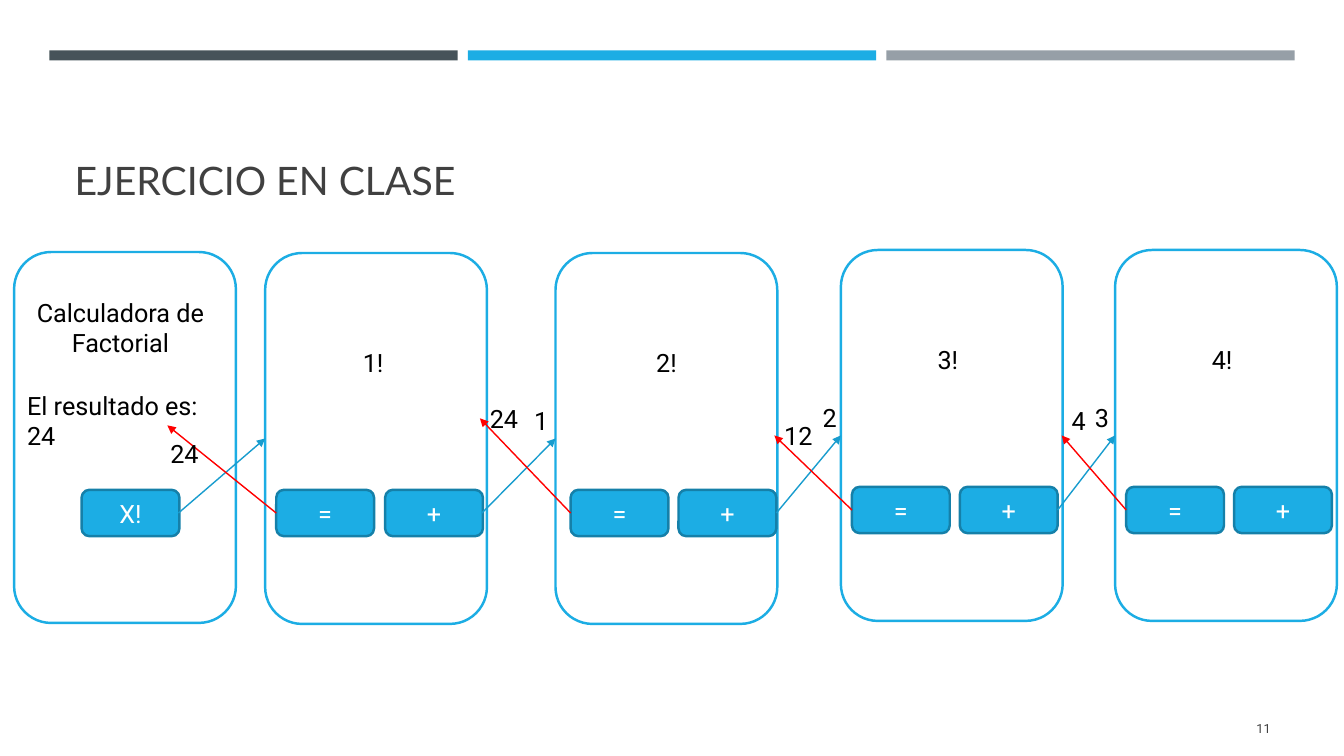
from pptx import Presentation
from pptx import util as u
from pptx.dml.color import RGBColor
from pptx.enum import shapes, text
from pptx.oxml.ns import qn
from lxml import etree

PX = 9144
COLORS = {
    "slate": "465359", "blue": "1CADE4", "gray": "969FA7", "border": "1580A9",
    "call": "189CCE", "return": "FF0000", "white": "FFFFFF", "black": "000000",
    "dark": "404040",
}


def add_box(kind, box, fill, line=None):
    shape = slide.shapes.add_shape(kind, *[value * PX for value in box])
    shape.shadow.inherit = False
    shape.fill.solid()
    shape.fill.fore_color.rgb = RGBColor.from_string(COLORS[fill])
    if line:
        shape.line.color.rgb = RGBColor.from_string(COLORS[line])
        shape.line.width = u.Pt(1.75)
    else:
        shape.line.fill.background()
    return shape


def write(shape, words, size=18, color="black", font="Roboto", align="LEFT", anchor="TOP", wrap=True):
    frame = shape.text_frame
    frame.text = words
    frame.word_wrap = wrap
    frame.vertical_anchor = text.MSO_ANCHOR[anchor]
    paragraph = frame.paragraphs[0]
    paragraph.alignment = text.PP_ALIGN[align]
    run_font = paragraph.runs[0].font
    run_font.size = u.Pt(size)
    run_font.name = font
    run_font.color.rgb = RGBColor.from_string(COLORS[color])


presentation = Presentation()
presentation.slide_width = 1333 * PX
presentation.slide_height = 750 * PX
slide = presentation.slides.add_slide(presentation.slide_layouts[5])

for index, color in enumerate(["slate", "blue", "gray"]):
    add_box(shapes.MSO_SHAPE.RECTANGLE, (49 + 415 * index, 50, 405, 10), color)

title = slide.shapes.title
title.left, title.top, title.width, title.height = [value * PX for value in (64, 77, 1206, 130)]
write(title, "EJERCICIO EN CLASE", 28, "dark", "Lato", anchor="BOTTOM")
title.text_frame.auto_size = text.MSO_AUTO_SIZE.NONE

number = slide.shapes.add_textbox(*[value * PX for value in (1155, 703, 115, 40)])
write(number, "11", 9, "dark", align="RIGHT", anchor="MIDDLE")

cards = [
    (14, 250, [(81, "X!")]),
    (263, 251, [(274, "="), (382, "+")]),
    (551, 251, [(566, "="), (673, "+")]),
    (834, 248, [(845, "="), (952, "+")]),
    (1106, 248, [(1117, "="), (1224, "+")]),
]
for left, top, buttons in cards:
    add_box(shapes.MSO_SHAPE.ROUNDED_RECTANGLE, (left, top, 220, 368), "white", "blue")
    for button_left, symbol in buttons:
        button_box = (button_left, 235 + max(top, 251), 97, 46)
        button = add_box(shapes.MSO_SHAPE.ROUNDED_RECTANGLE, button_box, "blue", "border")
        if top == 248:
            button.top = 483 * PX
        write(button, symbol, color="white", align="CENTER", anchor="MIDDLE")

arrows = [
    ("call", 177, 509, 263, 435),
    ("call", 478, 509, 551, 435),
    ("call", 770, 509, 834, 432),
    ("call", 1049, 506, 1106, 432),
    ("return", 1117, 506, 1053, 432),
    ("return", 845, 506, 768, 432),
    ("return", 566, 509, 476, 415),
    ("return", 274, 509, 166, 422),
]
for color, *ends in arrows:
    arrow = slide.shapes.add_connector(shapes.MSO_CONNECTOR.STRAIGHT, *[value * PX for value in ends])
    arrow.line.color.rgb = RGBColor.from_string(COLORS[color])
    arrow.line.width = u.Pt(1)
    etree.SubElement(arrow.line._get_or_add_ln(), qn("a:tailEnd"), type="triangle")
    etree.SubElement(arrow._element.spPr, qn("a:effectLst"))

labels = [
    ("1!", 350, 340, 42), ("2!", 641, 340, 42), ("3!", 920, 337, 42), ("4!", 1192, 337, 42),
    ("1", 520, 397, 35), ("2", 806, 394, 35), ("3", 1076, 394, 35),
    ("4", 1053, 397, 35), ("12", 768, 412, 50), ("24", 476, 395, 49), ("24", 159, 430, 49),
]
for words, left, top, width in labels:
    label = slide.shapes.add_textbox(left * PX, top * PX, width * PX, 40 * PX)
    write(label, words, wrap=False)
    label.text_frame.auto_size = text.MSO_AUTO_SIZE.SHAPE_TO_FIT_TEXT

heading = slide.shapes.add_textbox(*[value * PX for value in (23, 290, 193, 71)])
write(heading, "Calculadora de Factorial", align="CENTER")
result = slide.shapes.add_textbox(*[value * PX for value in (17, 382, 219, 40)])
write(result, "El resultado es: 24")

presentation.save("out.pptx")
